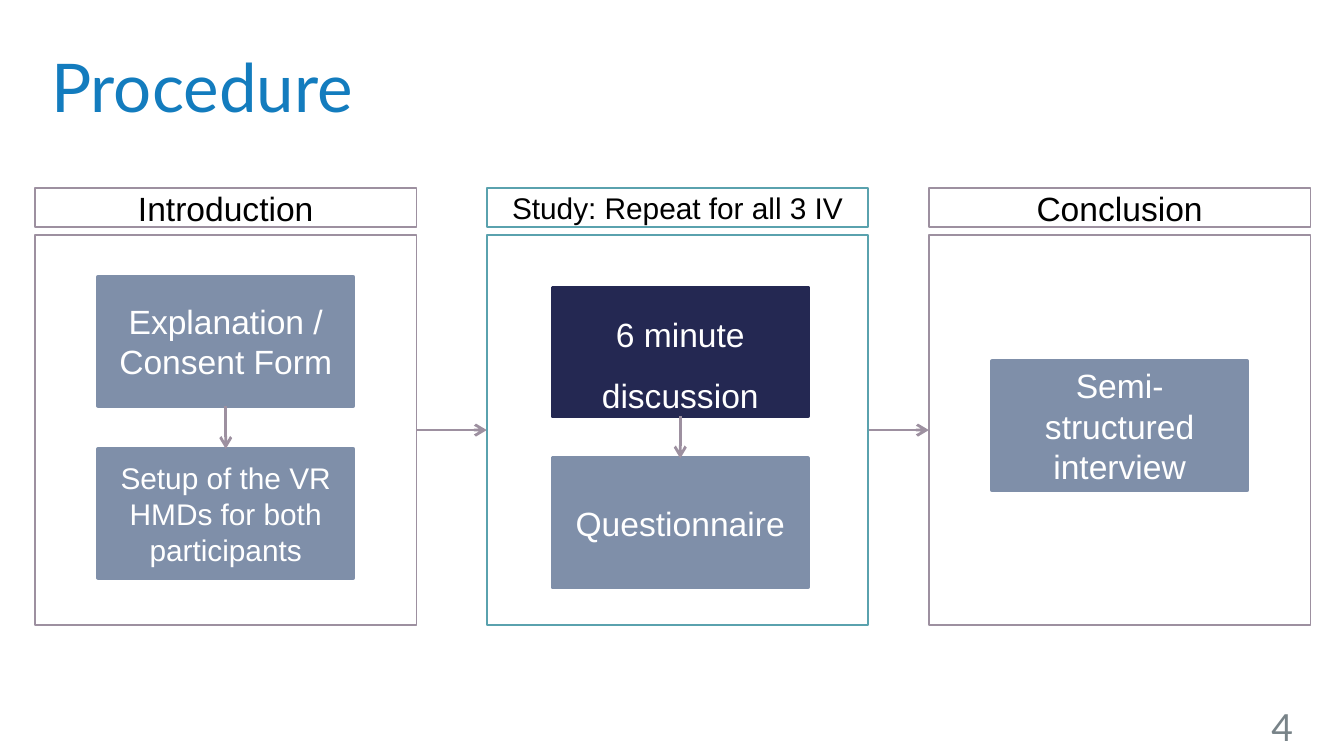
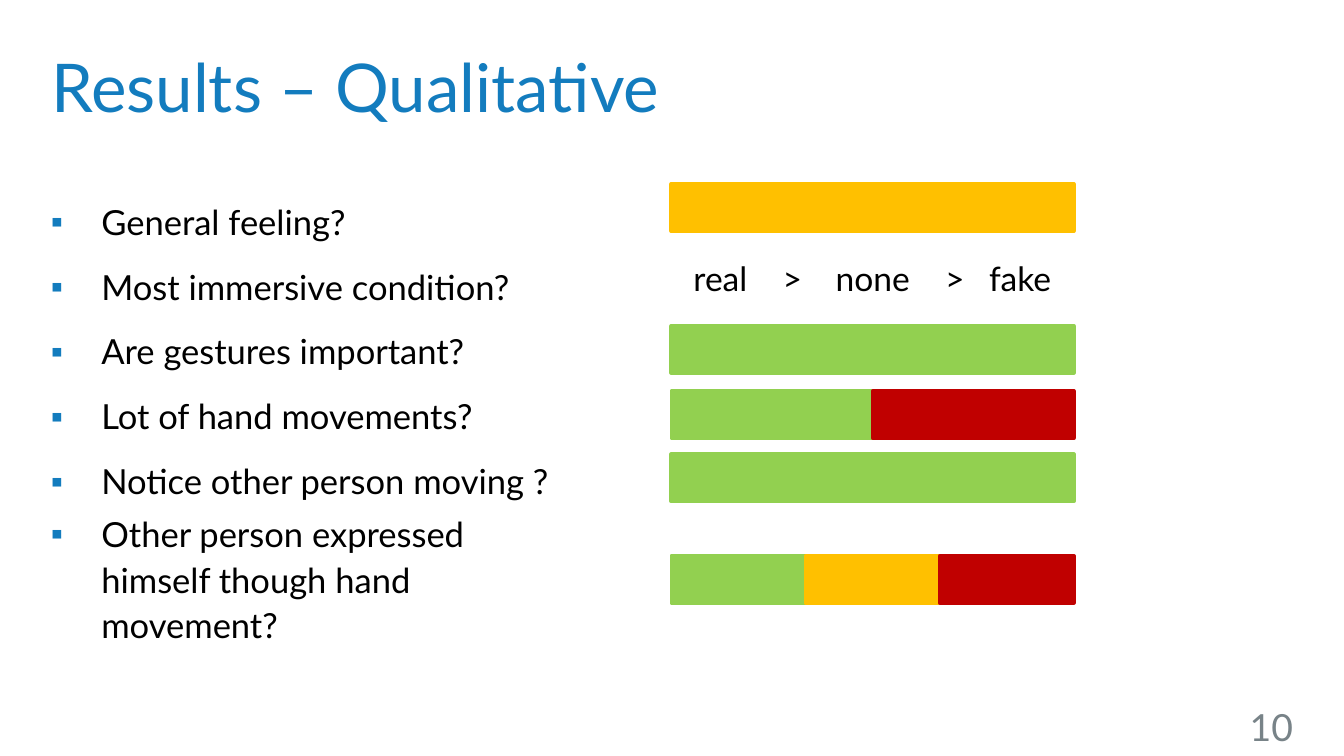
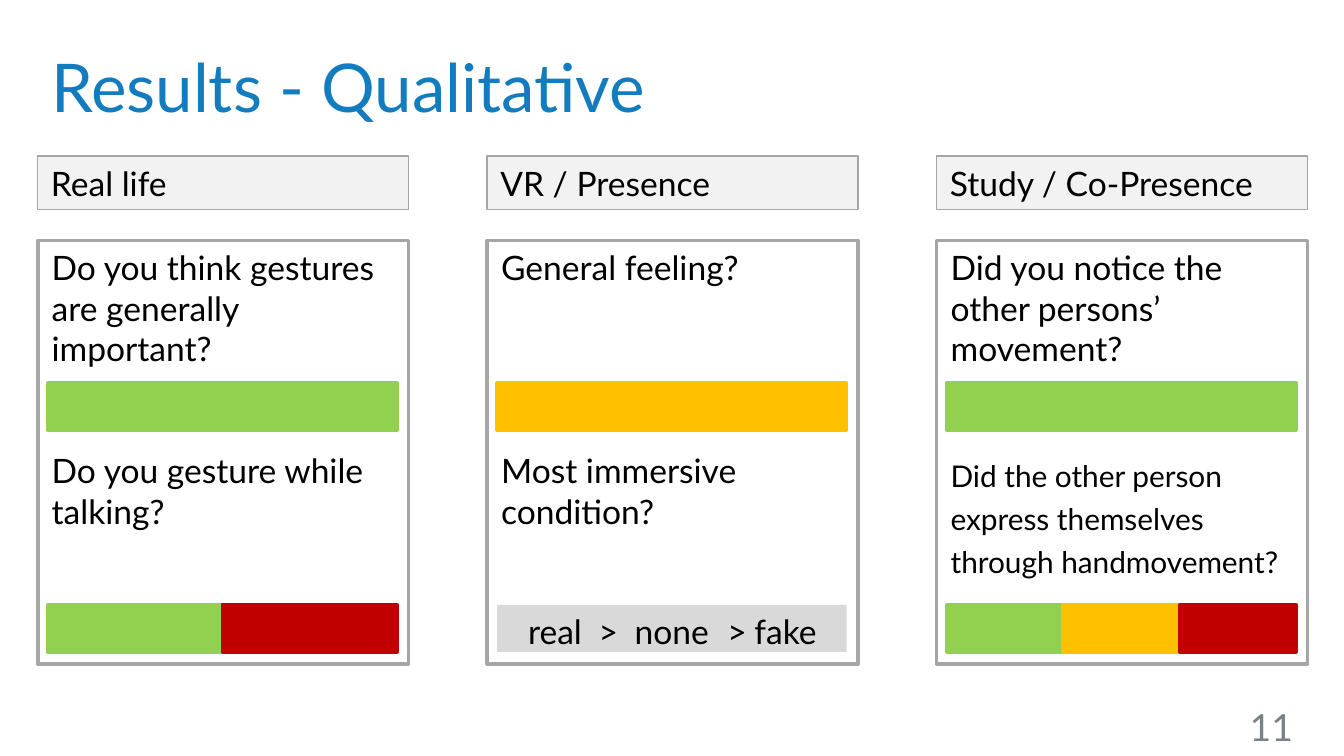
from dataclasses import dataclass

from lxml import etree
from pptx import Presentation
from pptx.dml.color import RGBColor
from pptx.enum import shapes, text
from pptx.oxml import ns
from pptx.util import Pt


@dataclass(frozen=True)
class Theme:
    """Colours, fonts and type sizes shared by the slides."""

    blue: str = "137CBE"
    footer: str = "788388"
    black: str = "000000"
    white: str = "FFFFFF"
    slate: str = "7F8FA9"
    navy: str = "242852"
    mauve: str = "9D90A0"
    teal: str = "5AA2AE"
    frame: str = "A6A6A6"
    header: str = "F2F2F2"
    ranking: str = "D9D9D9"
    yes: str = "92D050"
    mixed: str = "FFC000"
    no: str = "C00000"
    sans: str = "Lato"
    diagram: str = "Arial"
    title_size: float = 36
    number_size: float = 20
    list_size: float = 18.5
    text_size: float = 18
    small_size: float = 16


THEME = Theme()
ALIGN = text.PP_ALIGN
ANCHOR = text.MSO_ANCHOR


def place(area):
    """Turn left, top, width and height in points into lengths."""
    return [Pt(value) for value in area]


def add_xml(parent, tag, **attributes):
    """Append a DrawingML element to a parent element."""
    return etree.SubElement(parent, ns.qn(tag), attributes)


def add_span(para, words, size, color=THEME.black, font=THEME.sans):
    """Add one formatted run to a paragraph."""
    span = para.add_run()
    span.text = words
    span.font.name = font
    span.font.size = Pt(size)
    span.font.color.rgb = RGBColor.from_string(color)


def write(box, words, size=THEME.text_size, color=THEME.black, font=THEME.sans,
          align=ALIGN.LEFT, anchor=ANCHOR.TOP, spacing=None):
    """Put a single paragraph into a shape and return it."""
    frame = box.text_frame
    frame.word_wrap = True
    frame.auto_size = text.MSO_AUTO_SIZE.NONE
    frame.vertical_anchor = anchor
    para = frame.paragraphs[0]
    para.alignment = align
    if spacing:
        para.line_spacing = spacing
    add_span(para, words, size, color, font)
    return para


def add_text(page, area, words, **style):
    """Add a text box with one paragraph."""
    box = page.shapes.add_textbox(*place(area))
    write(box, words, **style)
    return box


def add_rect(page, area, fill=None, line=None, weight=2):
    """Add a plain rectangle with optional fill and outline."""
    box = page.shapes.add_shape(shapes.MSO_SHAPE.RECTANGLE, *place(area))
    box.shadow.inherit = False
    if fill:
        box.fill.solid()
        box.fill.fore_color.rgb = RGBColor.from_string(fill)
    else:
        box.fill.background()
    if line:
        box.line.color.rgb = RGBColor.from_string(line)
        box.line.width = Pt(weight)
    else:
        box.line.fill.background()
    return box


def add_arrow(page, start, end):
    """Draw a thin arrow between two points."""
    arrow = page.shapes.add_connector(
        shapes.MSO_CONNECTOR.STRAIGHT, *place(start + end))
    arrow.line.color.rgb = RGBColor.from_string(THEME.mauve)
    arrow.line.width = Pt(1.5)
    add_xml(arrow.line._get_or_add_ln(), "a:tailEnd", type="arrow")
    add_xml(arrow._element.spPr, "a:effectLst")


def add_bar(page, left, top, width, colors):
    """Draw an answer bar divided equally among its colours."""
    part = width / len(colors)
    for index, color in enumerate(colors):
        add_rect(page, (left + index * part, top, part, 25.2), color, color)


def add_ranking(box, inset, stops):
    """Write the ranking of conditions on centred tab stops."""
    box.text_frame.margin_left = Pt(inset)
    para = write(box, "real\t>\tnone\t>\tfake")
    tabs = add_xml(para._p.get_or_add_pPr(), "a:tabLst")
    for stop in stops:
        add_xml(tabs, "a:tab", pos=str(Pt(stop)), algn="ctr")


def add_bullets(page, area, items):
    """Write a list of questions with square bullets."""
    frame = page.shapes.add_textbox(*place(area)).text_frame
    frame.word_wrap = True
    for index, (lines, spacing) in enumerate(items):
        para = frame.add_paragraph() if index else frame.paragraphs[0]
        para.line_spacing = spacing
        if index:
            para.space_before = Pt(3.7)
        props = para._p.get_or_add_pPr()
        props.set("marL", str(Pt(27)))
        props.set("indent", str(Pt(-27)))
        add_xml(add_xml(props, "a:buClr"), "a:srgbClr", val=THEME.blue)
        add_xml(props, "a:buFont", typeface=THEME.diagram)
        add_xml(props, "a:buChar", char="▪")
        for number, line in enumerate(lines):
            if number:
                para.add_line_break()
            add_span(para, line, THEME.list_size)


def add_page(deck, title, number):
    """Add a slide with its title and slide number."""
    page = deck.slides.add_slide(deck.slide_layouts[5])
    heading = page.shapes.title
    heading.left, heading.top, heading.width, heading.height = place(
        (20.2, 13.7, 680.4, 64.8))
    write(heading, title, THEME.title_size, THEME.blue, anchor=ANCHOR.MIDDLE)
    add_text(page, (486.7, 376.6, 213.1, 25.2), number, size=THEME.number_size,
             color=THEME.footer, align=ALIGN.RIGHT, anchor=ANCHOR.MIDDLE)
    return page


def add_stage(page, left, name, size, line, steps, shift=0):
    """Draw a framed stage with its steps joined by arrows."""
    width, step_width, step_height = 204.5, 136.8, 69.1
    add_rect(page, (left, 126, width, 208.8), line=line, weight=1)
    header = add_rect(page, (left, 100.8, width, 20.9), line=line, weight=1)
    frame = header.text_frame
    frame.margin_left = frame.margin_right = Pt(5)
    frame.margin_top = frame.margin_bottom = Pt(2.9)
    write(header, name, size, font=THEME.diagram, align=ALIGN.CENTER,
          anchor=ANCHOR.MIDDLE)
    step_left = left + (width - step_width) / 2 + shift
    middle = step_left + step_width / 2
    bottom = None
    for words, top, fill, style in steps:
        step = add_rect(page, (step_left, top, step_width, step_height), fill, fill)
        style = {"anchor": ANCHOR.MIDDLE, **style}
        write(step, words, color=THEME.white, font=THEME.diagram,
              align=ALIGN.CENTER, **style)
        if bottom:
            add_arrow(page, (middle, bottom), (middle, top))
        bottom = top + step_height
    return left + width


def add_procedure(deck):
    """Build the slide with the three stages of the study."""
    page = add_page(deck, "Procedure", "4")
    small = {"size": THEME.small_size}
    loose = {"anchor": ANCHOR.TOP, "spacing": 1.5}
    stages = [
        (18.7, "Introduction", THEME.text_size, THEME.mauve, [
            ("Explanation / Consent Form", 148.3, THEME.slate, {}),
            ("Setup of the VR HMDs for both participants", 240.5, THEME.slate, small),
        ]),
        (260.8, "Study: Repeat for all 3 IV", THEME.small_size, THEME.teal, [
            ("6 minute discussion", 154, THEME.navy, loose),
            ("Questionnaire", 245.6, THEME.slate, {}),
        ], 1.4),
        (497.6, "Conclusion", THEME.text_size, THEME.mauve, [
            ("Semi-structured interview", 193.6, THEME.slate, {}),
        ]),
    ]
    edge = None
    for stage in stages:
        if edge:
            add_arrow(page, (edge, 230.4), (stage[0], 230.4))
        edge = add_stage(page, *stage)


def add_answers(deck):
    """Build the slide with questions beside answer bars."""
    page = add_page(deck, "Results – Qualitative", "10")
    questions = ["General feeling?", "Most immersive condition?",
                 "Are gestures important?", "Lot of hand movements?",
                 "Notice other person moving ?"]
    items = [([question], 1.4) for question in questions]
    items.append((["Other person expressed", "himself though hand", "movement?"], 1.1))
    add_bullets(page, (20.2, 95, 334.8, 267.8), items)
    bars = [(98.6, [THEME.mixed]), (174.6, [THEME.yes]),
            (209.5, [THEME.yes, THEME.no]), (243.4, [THEME.yes]),
            (297.8, [THEME.yes, THEME.mixed, THEME.no])]
    for top, colors in bars:
        add_bar(page, 359.7, top, 215.6, colors)
    ranking = page.shapes.add_textbox(*place((360, 134.6, 214.6, 28.8)))
    add_ranking(ranking, 11.5, (53, 96, 140, 175))


def add_topics(deck):
    """Build the slide with questions grouped in three topics."""
    page = add_page(deck, "Results - Qualitative", "11")
    tight = {"size": THEME.small_size, "spacing": 1.2}
    topics = [
        ("Real life", [
            ("Do you think gestures are generally important?", {}, [THEME.yes]),
            ("Do you gesture while talking?", {}, [THEME.yes, THEME.no])]),
        ("VR / Presence", [
            ("General feeling?", {}, [THEME.mixed]),
            ("Most immersive condition?", {}, None)]),
        ("Study / Co-Presence", [
            ("Did you notice the other persons’ movement?", {}, [THEME.yes]),
            ("Did the other person express themselves through handmovement?",
             tight, [THEME.yes, THEME.mixed, THEME.no])]),
    ]
    rows = [(128.9, 205.2), (237.6, 324)]
    width = 198.7
    for column, (name, questions) in enumerate(topics):
        left = 20.2 + column * 240.8
        add_rect(page, (left, 128.9, width, 226.8), THEME.white, THEME.frame)
        header = add_rect(page, (left, 83.5, width, 28.8), THEME.header,
                          THEME.frame, 0.75)
        write(header, name)
        for (top, bar_top), (words, style, colors) in zip(rows, questions):
            add_text(page, (left + 0.4, top, width, 74), words, **style)
            bar = (left + 5.4, bar_top, 187.2)
            if colors:
                add_bar(page, *bar, colors)
            else:
                ranking = add_rect(page, (*bar, 25.2), THEME.ranking)
                add_ranking(ranking, 16.5, (43, 77, 112, 138))


def main():
    """Build and save the deck."""
    deck = Presentation()
    deck.slide_width, deck.slide_height = Pt(720), Pt(405)
    add_procedure(deck)
    add_answers(deck)
    add_topics(deck)
    deck.save("out.pptx")


if __name__ == "__main__":
    main()
